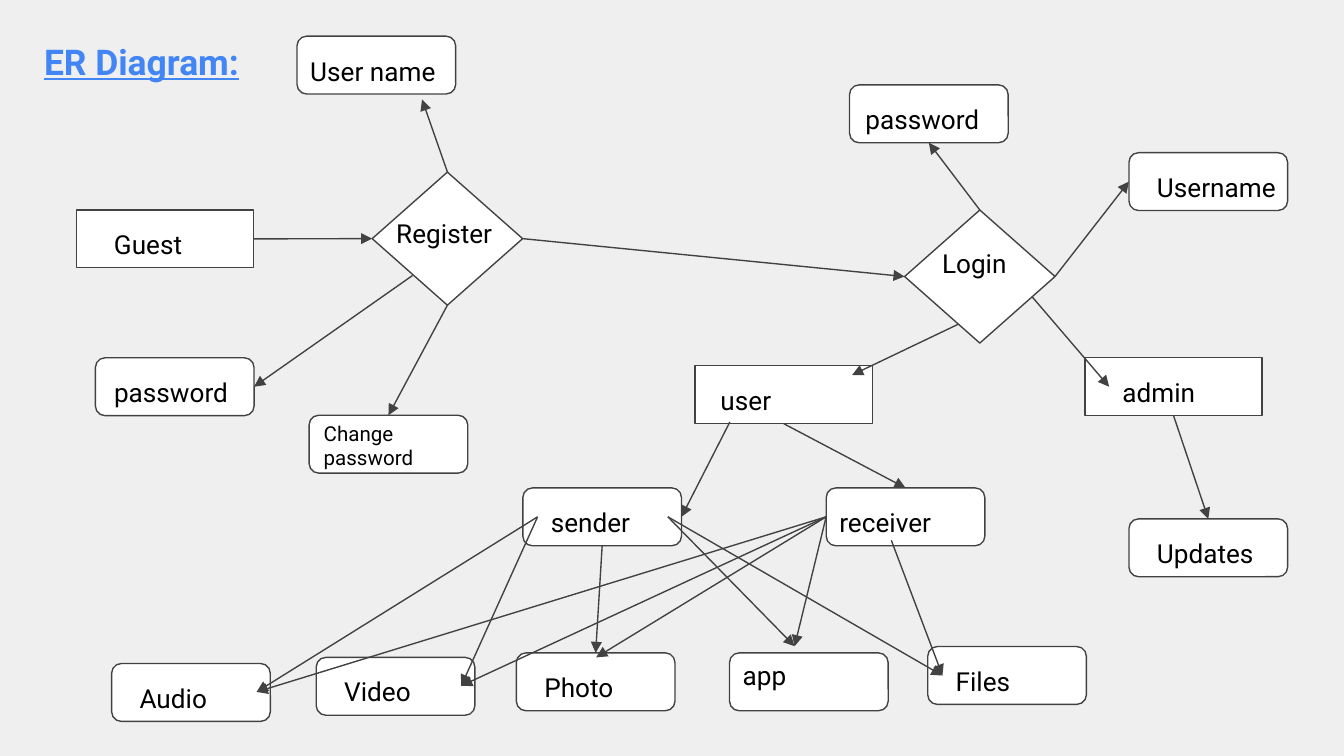
from lxml.etree import SubElement
from pptx import Presentation
from pptx.dml.color import RGBColor
from pptx.enum.shapes import MSO_CONNECTOR, MSO_SHAPE
from pptx.enum.text import MSO_ANCHOR
from pptx.oxml.ns import qn
from pptx.util import Pt

BACKGROUND = RGBColor(0xEF, 0xEF, 0xEF)
WHITE = RGBColor(0xFF, 0xFF, 0xFF)
BLACK = RGBColor(0, 0, 0)
OUTLINE = RGBColor(0x42, 0x42, 0x42)
BLUE = RGBColor(0x42, 0x85, 0xF4)
FONT = "Roboto"

# Kind: preset shape, width, height
KINDS = {
    "entity": (MSO_SHAPE.RECTANGLE, 95, 31),
    "attribute": (MSO_SHAPE.ROUNDED_RECTANGLE, 85, 31),
    "relation": (MSO_SHAPE.DIAMOND, 80.6, 71.3),
}

# Key: text, kind, left, top, label offset x and y, label width, height, font size
SMALL = (69.8, 25.2, 14)
WIDE = (80.6, 25.2, 14)
FULL = (85, 25.2, 14)
TALL = (85, 34.6, 11)
NODES = {
    "guest": ("Guest", "entity", 41, 112.5, 13, 2.9, *SMALL),
    "register": ("Register", "relation", 199.4, 92.2, 5.8, 17.3, *SMALL),
    "new name": ("User name", "attribute", 159.1, 19.4, 0, 2.9, *FULL),
    "new password": ("password", "attribute", 51.1, 191.7, 2.9, 2.9, *WIDE),
    "change": ("Change password", "attribute", 165.6, 222.5, 0.7, -4.3, *TALL),
    "login": ("Login", "relation", 484.6, 112.5, 13, 13, *SMALL),
    "password": ("password", "attribute", 455.1, 45.5, 1.4, 2.9, *WIDE),
    "username": ("Username", "attribute", 604.8, 81.8, 7.9, 2.6, *WIDE),
    "user": ("user", "entity", 372.4, 196, 6.5, 2.9, *SMALL),
    "admin": ("admin", "entity", 581.2, 191.7, 13, 2.9, *SMALL),
    "updates": ("Updates", "attribute", 604.8, 278, 7.9, 2.9, *SMALL),
    "sender": ("sender", "attribute", 280.1, 261.4, 7.9, 2.9, *SMALL),
    "receiver": ("receiver", "attribute", 442.6, 261.4, 0, 2.9, *SMALL),
    "audio": ("Audio", "attribute", 59.8, 355.5, 7.9, 2.6, *SMALL),
    "video": ("Video", "attribute", 169.4, 352.2, 7.9, 2.6, *SMALL),
    "photo": ("Photo", "attribute", 276.6, 349.8, 7.9, 2.4, *SMALL),
    "app": ("app", "attribute", 390.8, 349.8, 0, -3.6, *SMALL),
    "files": ("Files", "attribute", 497, 346.4, 7.9, 2.9, *SMALL),
}

# An arrow end is (node, side), (node, side, "label") or a plain point
AUDIO_END = ("audio", "right", "label")
VIDEO_END = ("video", "right", "label")
APP_END = ("app", "top", "label")
FILES_END = ("files", "left", "label")
ARROWS = [
    (("guest", "right"), ("register", "left")),
    (("register", "top"), (226.1, 53.3)),
    ((221, 147.6), ("new password", "right")),
    (("register", "bottom"), ("change", "top")),
    (("register", "right"), ("login", "left")),
    (("login", "top"), ("password", "bottom")),
    (("login", "right"), ("username", "left")),
    ((553, 159.1), ("admin", "left", "label")),
    ((513.4, 173.7), (456.5, 200.9)),
    (("admin", "bottom"), ("updates", "top")),
    ((391, 226.1), ("sender", "right")),
    (("user", "bottom"), ("receiver", "top")),
    (("sender", "bottom"), ("photo", "top")),
    (("sender", "left", "label"), AUDIO_END),
    (("sender", "left", "label"), VIDEO_END),
    (("sender", "right", "label"), APP_END),
    (("sender", "right", "label"), FILES_END),
    (("receiver", "bottom", "label"), FILES_END),
    (("receiver", "left"), APP_END),
    (("receiver", "left"), ("photo", "top", "label")),
    (("receiver", "left"), VIDEO_END),
    (("receiver", "left"), AUDIO_END),
]
SIDES = {"left": (0, 0.5), "right": (1, 0.5), "top": (0.5, 0), "bottom": (0.5, 1)}


def add_text(x, y, w, h, text, size, color):
    box = s.shapes.add_textbox(Pt(x), Pt(y), Pt(w), Pt(h))
    tf = box.text_frame
    tf.word_wrap = True
    tf.vertical_anchor = MSO_ANCHOR.TOP
    tf.margin_left = tf.margin_right = tf.margin_top = tf.margin_bottom = Pt(7.2)
    r = tf.paragraphs[0].add_run()
    r.text = text
    r.font.name = FONT
    r.font.size = Pt(size)
    r.font.color.rgb = color
    return r


def style_line(line):
    line.color.rgb = OUTLINE
    line.width = Pt(0.75)


def add_node(text, kind, x, y, dx, dy, label_w, label_h, size):
    preset, w, h = KINDS[kind]
    sp = s.shapes.add_shape(preset, Pt(x), Pt(y), Pt(w), Pt(h))
    sp.shadow.inherit = False
    sp.fill.solid()
    sp.fill.fore_color.rgb = WHITE
    style_line(sp.line)
    add_text(x + dx, y + dy, label_w, label_h, text, size, BLACK)


def locate(end):
    if end[0] not in NODES:
        return end
    _, kind, x, y, dx, dy, label_w, label_h, _ = NODES[end[0]]
    _, w, h = KINDS[kind]
    if len(end) == 3:
        x, y, w, h = x + dx, y + dy, label_w, label_h
    fx, fy = SIDES[end[1]]
    return x + fx * w, y + fy * h


def add_arrow(start, end):
    points = [Pt(v) for v in (*locate(start), *locate(end))]
    c = s.shapes.add_connector(MSO_CONNECTOR.STRAIGHT, *points)
    style_line(c.line)
    SubElement(c.line._get_or_add_ln(), qn("a:tailEnd"),
               type="triangle", w="med", len="med")
    SubElement(c._element.spPr, qn("a:effectLst"))


prs = Presentation()
prs.slide_width, prs.slide_height = Pt(720), Pt(405)
s = prs.slides.add_slide(prs.slide_layouts[6])
s.background.fill.solid()
s.background.fill.fore_color.rgb = BACKGROUND

# Entities, relations and attributes
for node in NODES.values():
    add_node(*node)

# Arrows between them
for start, end in ARROWS:
    add_arrow(start, end)

# Title
title = add_text(16.5, 14.4, 577.5, 37.4, "ER Diagram:", 19, BLUE)
title.font.bold = True
title.font.underline = True

prs.save("out.pptx")
